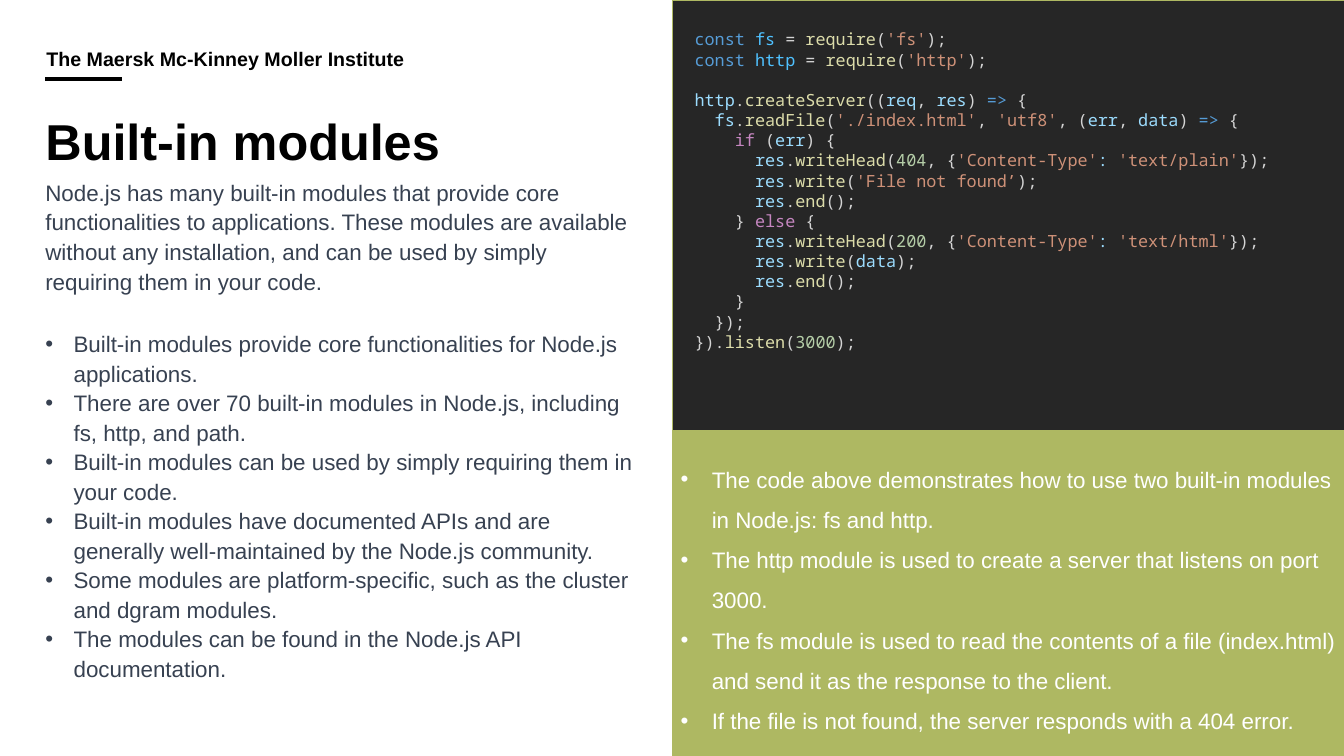
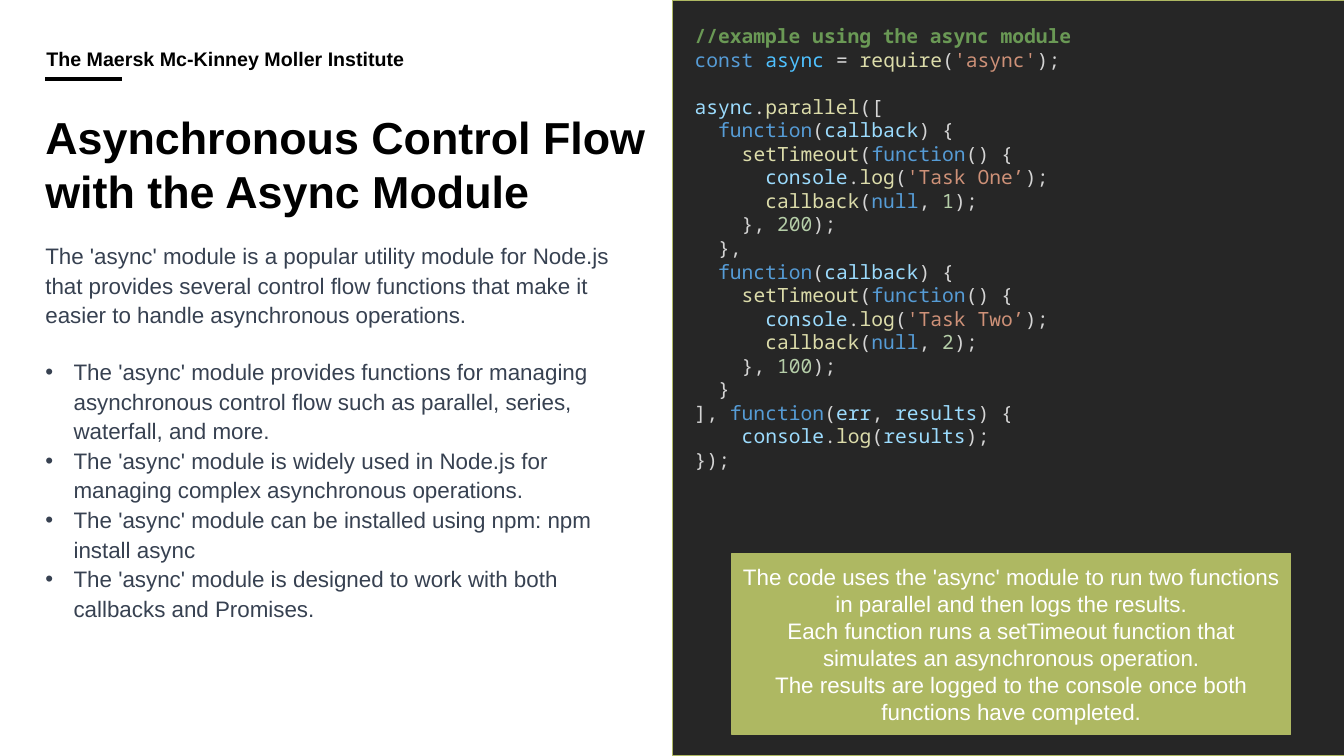
from lxml import etree
from pptx import Presentation
from pptx.dml.color import RGBColor
from pptx.enum.shapes import MSO_CONNECTOR, MSO_SHAPE
from pptx.enum.text import MSO_ANCHOR, MSO_AUTO_SIZE, PP_ALIGN
from pptx.oxml.ns import qn
from pptx.util import Inches, Pt

RECTANGLE = MSO_SHAPE.RECTANGLE
STRAIGHT = MSO_CONNECTOR.STRAIGHT
TOP, MIDDLE, BOTTOM = MSO_ANCHOR.TOP, MSO_ANCHOR.MIDDLE, MSO_ANCHOR.BOTTOM
LEFT, CENTER = PP_ALIGN.LEFT, PP_ALIGN.CENTER
NO_AUTOFIT = MSO_AUTO_SIZE.NONE

COLORS = {
    "black": "000000", "white": "FFFFFF", "body": "374151",
    "dark": "262626", "green": "AEB862",
    "plain": "D4D4D4", "keyword": "569CD6", "control": "C586C0",
    "constant": "4FC1FF", "function": "DCDCAA", "variable": "9CDCFE",
    "string": "CE9178", "number": "B5CEA8", "comment": "6A9955",
}
TEXT_FONT = "Arial"
CODE_FONT = "Noto Sans Mono"
INSTITUTE = "The Maersk Mc-Kinney Moller Institute"
KEYWORDS = {"const", "function", "null", "=>"}
CONTROLS = {"if", "else"}
MARGIN = 0.45
COLUMN_WIDTH = 5.84
PANEL_LEFT = 6.67

SERVER_CODE = """const fs = require('fs');
const http = require('http');

http.createServer((req, res) => {
  fs.readFile('./index.html', 'utf8', (err, data) => {
    if (err) {
      res.writeHead(404, {'Content-Type': 'text/plain'});
      res.write('File not found’);
      res.end();
    } else {
      res.writeHead(200, {'Content-Type': 'text/html'});
      res.write(data);
      res.end();
    }
  });
}).listen(3000);"""

ASYNC_CODE = """//example using the async module
const async = require('async');

async.parallel([
  function(callback) {
    setTimeout(function() {
      console.log('Task One’);
      callback(null, 1);
    }, 200);
  },
  function(callback) {
    setTimeout(function() {
      console.log('Task Two’);
      callback(null, 2);
    }, 100);
  }
], function(err, results) {
    console.log(results);
});"""


def character_kind(character):
    if character.isalnum():
        return "word"
    if character in "=>":
        return "arrow"
    return character if character in "':" else "other"


def token_color(token, before, after):
    if token in KEYWORDS:
        return "keyword"
    if token in CONTROLS:
        return "control"
    if token.startswith("'"):
        return "string"
    if token.isdigit():
        return "number"
    if token == ":":
        return "variable"
    if not token.isalnum():
        return "plain"
    if before.endswith("const "):
        return "constant"
    return "function" if after.startswith("(") else "variable"


def tokenize(line):
    if line.startswith("//"):
        yield line, "comment"
        return
    start = 0
    while start < len(line):
        kind = character_kind(line[start])
        end = start + 1
        if kind == "'":
            while line[end] not in "'’":
                end += 1
            end += 1
        else:
            while end < len(line) and character_kind(line[end]) == kind:
                end += 1
        token = line[start:end]
        yield token, token_color(token, line[:start], line[end:])
        start = end


class Deck:
    def __init__(self):
        self.presentation = Presentation()
        self.presentation.slide_width = Inches(13.33)
        self.presentation.slide_height = Inches(7.5)
        self.slide = None

    def color(self, name):
        return RGBColor.from_string(COLORS[name])

    def place(self, shape, left, top, width, height):
        shape.left, shape.top = Inches(left), Inches(top)
        shape.width, shape.height = Inches(width), Inches(height)

    def frame(self, shape, anchor=TOP, insets=(0, 0, 0, 0)):
        frame = shape.text_frame
        frame.word_wrap = True
        frame.auto_size = NO_AUTOFIT
        frame.vertical_anchor = anchor
        frame.margin_left, frame.margin_top, frame.margin_right, frame.margin_bottom = map(Inches, insets)
        return frame

    def style(self, run, size, color, bold=False, font=TEXT_FONT):
        run.font.name = font
        run.font.size = Pt(size)
        run.font.bold = bold
        run.font.color.rgb = self.color(color)

    def set_lines(self, frame, lines, size, color, bold=False, spacing=1.0, align=LEFT, indent=0):
        frame.text = "\n".join(lines)
        for paragraph in frame.paragraphs:
            paragraph.alignment = align
            paragraph.line_spacing = spacing
            paragraph.space_before = Pt(0)
            if indent:
                self.bullet(paragraph, indent)
            for run in paragraph.runs:
                self.style(run, size, color, bold)

    def bullet(self, paragraph, indent):
        properties = paragraph._p.get_or_add_pPr()
        properties.set("marL", str(Inches(indent)))
        properties.set("indent", str(-Inches(indent)))
        etree.SubElement(properties, qn("a:buFont")).set("typeface", TEXT_FONT)
        etree.SubElement(properties, qn("a:buChar")).set("char", "•")

    def text_box(self, left, top, width, height):
        return self.slide.shapes.add_textbox(*map(Inches, (left, top, width, height)))

    def start_slide(self, title, size, title_height):
        layout = self.presentation.slide_layouts[1]
        self.slide = self.presentation.slides.add_slide(layout)
        self.header()
        shape = self.slide.shapes.title
        self.place(shape, MARGIN, 1.09, 6, title_height)
        self.set_lines(self.frame(shape), [title], size, "black", bold=True)

    def header(self):
        rule = self.slide.shapes.add_connector(
            STRAIGHT, Inches(MARGIN), Inches(0.78), Inches(1.21), Inches(0.78))
        rule.line.color.rgb = self.color("black")
        rule.line.width = Pt(3)
        etree.SubElement(rule._element.spPr, qn("a:effectLst"))
        box = self.text_box(MARGIN, 0.49, 6.22, 0.31)
        frame = self.frame(box, BOTTOM, (0.01, 0, 0, 0.1))
        self.set_lines(frame, [INSTITUTE], 14, "black", bold=True, spacing=0.9)

    def intro(self, text, top, height):
        box = self.text_box(MARGIN, top, COLUMN_WIDTH, height)
        self.set_lines(self.frame(box), [text], 16, "body", spacing=1.1)

    def body(self, items, top, height):
        shape = self.slide.placeholders[1]
        self.place(shape, MARGIN, top, COLUMN_WIDTH, height)
        self.set_lines(self.frame(shape), items, 16, "body", spacing=1.1, indent=0.28)

    def panel(self, color, left, top, width, height):
        shape = self.slide.shapes.add_shape(
            RECTANGLE, *map(Inches, (left, top, width, height)))
        shape.shadow.inherit = False
        shape.fill.solid()
        shape.fill.fore_color.rgb = self.color(color)
        shape.line.color.rgb = self.color("green")
        shape.line.width = Pt(1)
        return shape

    def explanation(self, lines, left, top, width, height, **options):
        shape = self.panel("green", left, top, width, height)
        frame = self.frame(shape, MIDDLE, (0.08, 0.08, 0.08, 0.08))
        self.set_lines(frame, lines, 16, "white", **options)

    def code(self, source, size, top, height, panel_height):
        self.panel("dark", PANEL_LEFT, 0, PANEL_LEFT, panel_height)
        box = self.text_box(6.79, top, 6.35, height)
        frame = self.frame(box, insets=(0.1, 0.05, 0.1, 0.05))
        paragraph = frame.paragraphs[0]
        gap = 0
        for number, line in enumerate(source.splitlines()):
            if not line:
                gap = size * 1.2
                continue
            if number:
                paragraph = frame.add_paragraph()
            paragraph.space_before = Pt(gap)
            gap = 0
            for token, color in tokenize(line):
                run = paragraph.add_run()
                run.text = token
                self.style(run, size, color, color == "comment", CODE_FONT)


def built_in_modules(deck):
    deck.start_slide("Built-in modules", 36, 0.84)
    deck.intro(
        "Node.js has many built-in modules that provide core functionalities to applications. "
        "These modules are available without any installation, and can be used by simply "
        "requiring them in your code.", 1.75, 1.31)
    deck.body([
        "Built-in modules provide core functionalities for Node.js applications.",
        "There are over 70 built-in modules in Node.js, including fs, http, and path.",
        "Built-in modules can be used by simply requiring them in your code.",
        "Built-in modules have documented APIs and are generally well-maintained by the Node.js community.",
        "Some modules are platform-specific, such as the cluster and dgram modules.",
        "The modules can be found in the Node.js API documentation.",
    ], 3.25, 3.56)
    deck.code(SERVER_CODE, 12, 0.24, 3.74, 4.27)
    deck.explanation([
        "The code above demonstrates how to use two built-in modules in Node.js: fs and http.",
        "The http module is used to create a server that listens on port 3000.",
        "The fs module is used to read the contents of a file (index.html) and send it as the "
        "response to the client.",
        "If the file is not found, the server responds with a 404 error.",
    ], PANEL_LEFT, 4.27, PANEL_LEFT, 3.23, spacing=1.5, indent=0.31)


def async_module(deck):
    deck.start_slide("Asynchronous Control Flow with the Async Module", 32, 1.29)
    deck.intro(
        "The 'async' module is a popular utility module for Node.js that provides several control "
        "flow functions that make it easier to handle asynchronous operations.", 2.38, 1.13)
    deck.body([
        "The 'async' module provides functions for managing asynchronous control flow such as "
        "parallel, series, waterfall, and more.",
        "The 'async' module is widely used in Node.js for managing complex asynchronous operations.",
        "The 'async' module can be installed using npm: npm install async",
        "The 'async' module is designed to work with both callbacks and Promises.",
    ], 3.53, 2.77)
    deck.code(ASYNC_CODE, 14, 0.19, 4.58, 7.5)
    deck.explanation([
        "The code uses the 'async' module to run two functions in parallel and then logs the results.",
        "Each function runs a setTimeout function that simulates an asynchronous operation.",
        "The results are logged to the console once both functions have completed.",
    ], 7.26, 5.49, 5.54, 1.8, align=CENTER)


def main():
    deck = Deck()
    built_in_modules(deck)
    async_module(deck)
    deck.presentation.save("out.pptx")


if __name__ == "__main__":
    main()
